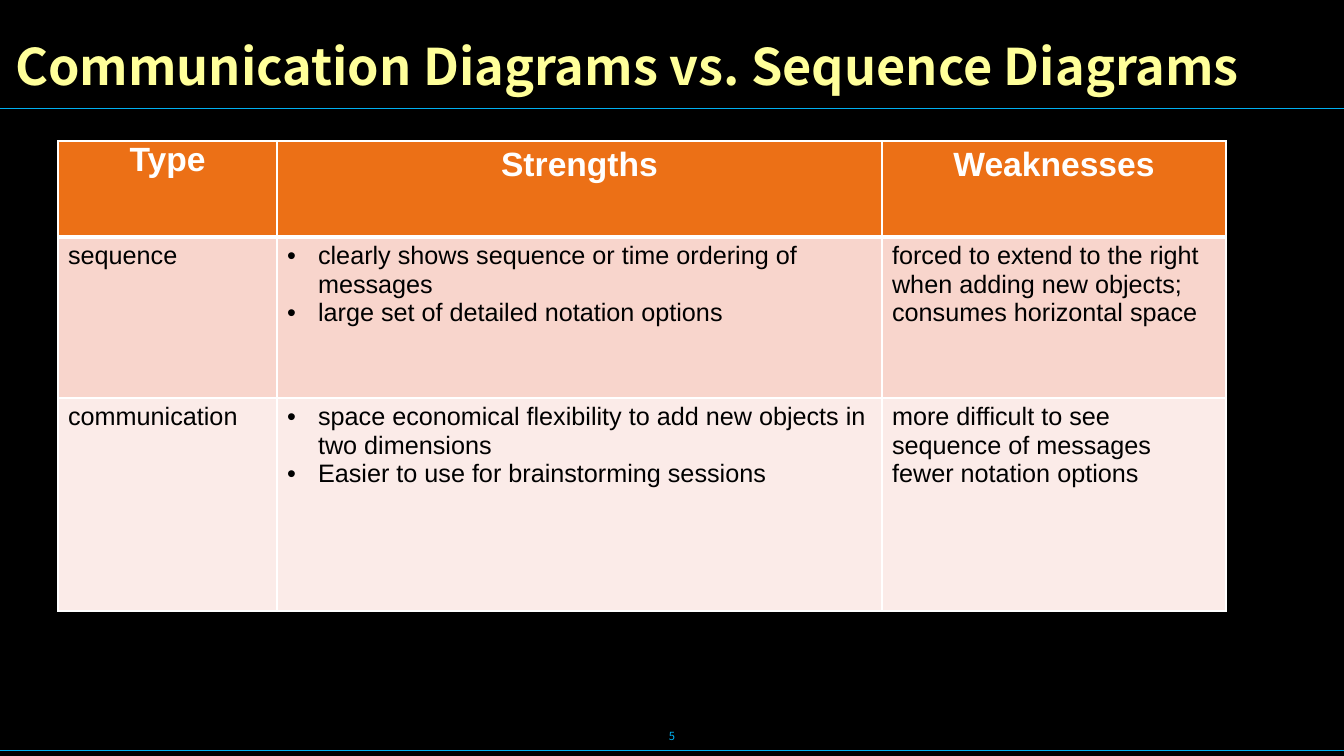
from dataclasses import dataclass

import pptx
import pptx.dml.color
import pptx.enum.shapes
import pptx.enum.text
import pptx.oxml
import pptx.oxml.ns
import pptx.util

RGB = pptx.dml.color.RGBColor
ALIGN = pptx.enum.text.PP_ALIGN
MIDDLE = pptx.enum.text.MSO_ANCHOR.MIDDLE

BLACK = RGB(0x00, 0x00, 0x00)
WHITE = RGB(0xFF, 0xFF, 0xFF)
YELLOW = RGB(0xFF, 0xFF, 0x9A)
BLUE = RGB(0x00, 0xB0, 0xF0)
ORANGE = RGB(0xEC, 0x70, 0x16)
PINK = RGB(0xF8, 0xD5, 0xCC)
PALE = RGB(0xFB, 0xEB, 0xE8)

BODY = "Arial"
HEAD = "Noto Sans CJK TC"
WIDE, HIGH = 1344, 756
SCALE = 12192000 / WIDE
INDENT = 31


@dataclass
class Rule:
    y: int
    weight: float


@dataclass
class Row:
    height: int
    fill: RGB
    cells: list[list[str]]
    head: bool = False


RULES = [Rule(108, 0.5), Rule(750, 0.25)]
COLS = [219, 605, 344]
ROWS = [
    Row(96, ORANGE, [["Type"], ["Strengths"], ["Weaknesses"]], head=True),
    Row(161, PINK, [
        ["sequence"],
        ["clearly shows sequence or time ordering of messages",
         "large set of detailed notation options"],
        ["forced to extend to the right when adding new objects; "
         "consumes horizontal space"],
    ]),
    Row(213, PALE, [
        ["communication"],
        ["space economical flexibility to add new objects in two dimensions",
         "Easier to use for brainstorming sessions"],
        ["more difficult to see sequence of messages",
         "fewer notation options"],
    ]),
]


def px(size: int) -> pptx.util.Emu:
    return pptx.util.Emu(round(size * SCALE))


def node(tag: str, inner: str = "", **attrs):
    """Make one drawing element from its tag, inner XML and attributes."""
    names = "".join(f' {key}="{value}"' for key, value in attrs.items())
    space = pptx.oxml.ns.nsdecls("a")
    return pptx.oxml.parse_xml(f"<a:{tag} {space}{names}>{inner}</a:{tag}>")


def write(frame, lines: list[str], *, font: str, size: int, color: RGB,
          bold: bool = False, align=ALIGN.LEFT, bullet: bool = False,
          space: float | None = None) -> None:
    for i, line in enumerate(lines):
        para = frame.add_paragraph() if i else frame.paragraphs[0]
        para.alignment = align
        if space:
            para.line_spacing = space
        if bullet:
            props = para._p.get_or_add_pPr()
            props.set("marL", str(px(INDENT)))
            props.set("indent", str(-px(INDENT)))
            props.append(node("buFont", typeface=BODY))
            props.append(node("buChar", char="•"))
        run = para.add_run()
        run.text = line
        run.font.name = font
        run.font.size = pptx.util.Pt(size)
        run.font.bold = bold
        run.font.color.rgb = color


def border(cell, top: int, base: int) -> None:
    """Line the cell in white, with top and base widths in points."""
    props = cell._tc.get_or_add_tcPr()
    for side, width in (("L", 1), ("R", 1), ("T", top), ("B", base)):
        fill = f'<a:solidFill><a:srgbClr val="{WHITE}"/></a:solidFill>'
        props.append(node(f"ln{side}", fill, w=pptx.util.Pt(width)))


def draw_rule(slide, rule: Rule) -> None:
    line = slide.shapes.add_connector(
        pptx.enum.shapes.MSO_CONNECTOR.STRAIGHT,
        0, px(rule.y), px(WIDE), px(rule.y))
    line.line.color.rgb = BLUE
    line.line.width = pptx.util.Pt(rule.weight)
    line._element.spPr.append(node("effectLst"))


def draw_table(slide) -> None:
    high = sum(row.height for row in ROWS)
    table = slide.shapes.add_table(
        len(ROWS), len(COLS), px(58), px(141), px(sum(COLS)), px(high)).table
    table.horz_banding = False
    for col, width in zip(table.columns, COLS):
        col.width = px(width)
    for r, row in enumerate(ROWS):
        table.rows[r].height = px(row.height)
        for c, lines in enumerate(row.cells):
            cell = table.cell(r, c)
            border(cell, 3 if r == 1 else 1, 3 if row.head else 1)
            cell.fill.solid()
            cell.fill.fore_color.rgb = row.fill
            write(cell.text_frame, lines, font=BODY,
                  size=24 if row.head else 18,
                  color=WHITE if row.head else BLACK, bold=row.head,
                  align=ALIGN.CENTER if row.head else ALIGN.LEFT,
                  bullet=c == 1 and not row.head)
    first = table.cell(0, 0)
    first.margin_left = first.margin_right = 0
    first.margin_top = first.margin_bottom = 0


def draw_title(slide) -> None:
    title = slide.shapes.title
    title.left, title.top = px(5), px(-3)
    title.width, title.height = px(1334), px(144)
    title.text_frame.vertical_anchor = MIDDLE
    write(title.text_frame, ["Communication Diagrams vs. Sequence Diagrams"],
          font=HEAD, size=36, color=YELLOW, bold=True, space=0.9)


def draw_number(slide) -> None:
    box = slide.shapes.add_textbox(px(521), px(716), px(302), px(40))
    box.text_frame.word_wrap = True
    box.text_frame.vertical_anchor = MIDDLE
    write(box.text_frame, ["5"], font=HEAD, size=8, color=BLUE,
          align=ALIGN.CENTER)


def main() -> None:
    deck = pptx.Presentation()
    deck.slide_width, deck.slide_height = px(WIDE), px(HIGH)
    slide = deck.slides.add_slide(deck.slide_layouts.get_by_name("Title Only"))
    slide.background.fill.solid()
    slide.background.fill.fore_color.rgb = BLACK
    for rule in RULES:
        draw_rule(slide, rule)
    draw_table(slide)
    draw_title(slide)
    draw_number(slide)
    deck.save("out.pptx")


if __name__ == "__main__":
    main()
